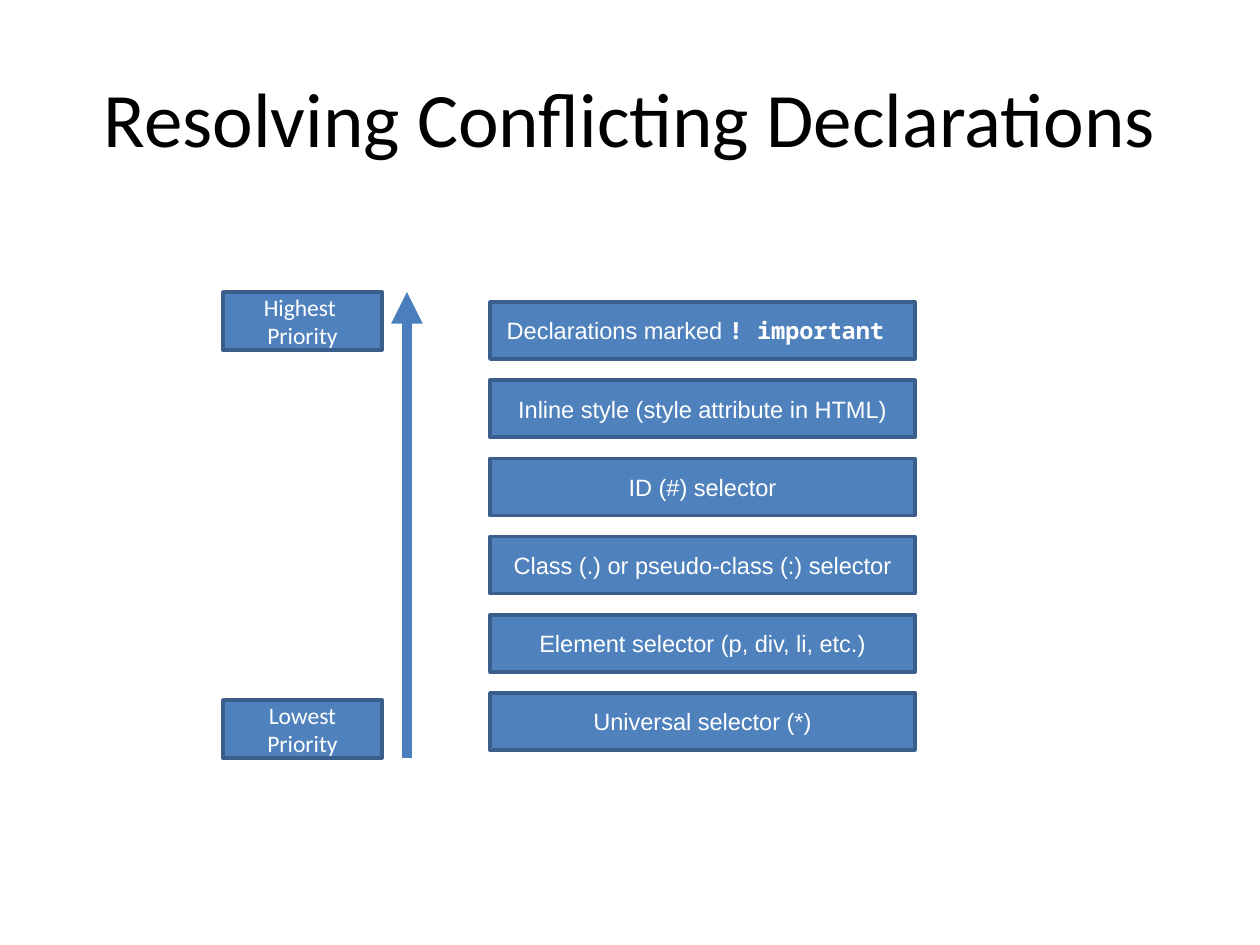
from lxml import etree
from pptx import Presentation
from pptx import util as u
from pptx.dml.color import RGBColor
from pptx.enum import shapes, text
from pptx.oxml.ns import qn

SCALE = 914400 / 126
COLORS = {"ink": "000000", "white": "FFFFFF", "box": "4F81BD",
          "edge": "3A5F8C", "arrow": "4B7EBC"}
RULES = [
    ["Declarations marked ", "! important "],
    ["Inline style (style attribute in HTML)"],
    ["ID (#) selector"],
    ["Class (.) or pseudo-class (:) selector"],
    ["Element selector (p, div, li, etc.)"],
    ["Universal selector (*)"],
]


def px(*sizes):
    return [u.Emu(round(size * SCALE)) for size in sizes]


def color(name):
    return RGBColor.from_string(COLORS[name])


def style(run, font, size, tone, bold=False):
    run.font.name = font
    run.font.size = u.Pt(size)
    run.font.bold = bold
    run.font.color.rgb = color(tone)


def add_title(slide, words):
    title = slide.shapes.title
    title.left, title.top, title.width, title.height = px(63, 38, 1134, 158)
    frame = title.text_frame
    frame.text = words
    frame.vertical_anchor = text.MSO_ANCHOR.MIDDLE
    para = frame.paragraphs[0]
    para.alignment = text.PP_ALIGN.CENTER
    style(para.runs[0], "Calibri", 44, "ink")


def add_box(slide, place, words, font):
    box = slide.shapes.add_shape(shapes.MSO_SHAPE.RECTANGLE, *px(*place))
    box.shadow.inherit = False
    box.fill.solid()
    box.fill.fore_color.rgb = color("box")
    box.line.color.rgb = color("edge")
    box.line.width = u.Pt(2)
    frame = box.text_frame
    frame.text = words
    frame.word_wrap = True
    frame.vertical_anchor = text.MSO_ANCHOR.MIDDLE
    for para in frame.paragraphs:
        para.alignment = text.PP_ALIGN.CENTER
        for run in para.runs:
            style(run, font, 13.5, "white")
    return box


def add_arrow(slide, start, end):
    arrow = slide.shapes.add_connector(
        shapes.MSO_CONNECTOR.STRAIGHT, *px(*start, *end))
    arrow.line.color.rgb = color("arrow")
    arrow.line.width = u.Pt(6)
    tip = etree.SubElement(arrow.line._get_or_add_ln(), qn("a:tailEnd"))
    tip.set("type", "triangle")
    etree.SubElement(arrow._element.spPr, qn("a:effectLst"))


def main():
    deck = Presentation()
    deck.slide_width, deck.slide_height = px(1260, 945)
    slide = deck.slides.add_slide(deck.slide_layouts[5])
    add_title(slide, "Resolving Conflicting Declarations")

    # Priority scale
    add_arrow(slide, (407, 758), (407, 292))
    for top, words in ((292, "Highest \nPriority"), (700, "Lowest\nPriority")):
        add_box(slide, (223, top, 159, 58), words, "Calibri")

    # Rules, from strongest to weakest
    for row, (words, *code) in enumerate(RULES):
        place = (490, 302 + row * 78.2, 425, 57)
        box = add_box(slide, place, words, "Arial")
        for part in code:
            run = box.text_frame.paragraphs[0].add_run()
            run.text = part
            style(run, "Noto Sans Mono", 13.5, "white", bold=True)

    deck.save("out.pptx")


main()
